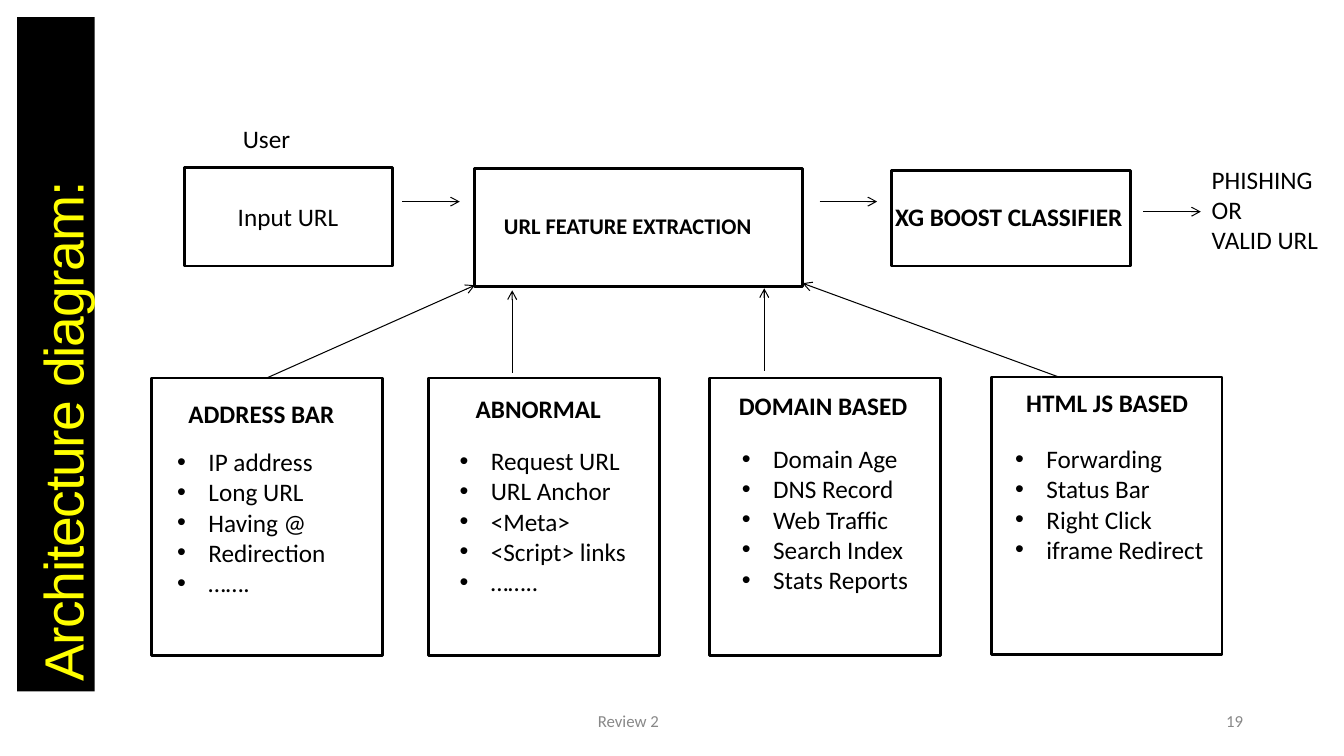
"""Build the architecture slide of a phishing URL detector."""
from dataclasses import dataclass

from lxml.etree import SubElement
from pptx import Presentation
from pptx.dml.color import RGBColor
from pptx.enum.shapes import MSO_CONNECTOR, MSO_SHAPE
from pptx.enum.text import MSO_ANCHOR, MSO_AUTO_SIZE, PP_ALIGN
from pptx.oxml.ns import qn
from pptx.shapes.autoshape import Shape
from pptx.shapes.connector import Connector
from pptx.slide import Slide
from pptx.text.text import TextFrame
from pptx.util import Inches, Pt

BLACK, WHITE, YELLOW, GRAY = "000000", "FFFFFF", "FFFF00", "888888"
BULLET_INDENT = 0.31
PANEL_WIDTH, PANEL_HEIGHT = 2.29, 2.75


@dataclass
class Box:
    left: float
    top: float
    width: float
    height: float


@dataclass
class Label:
    text: str
    left: float
    top: float
    width: float
    size: float = 18
    bold: bool = False


@dataclass
class Panel:
    left: float
    top: float
    heading: Label
    items: Label


@dataclass
class Arrow:
    start: tuple[float, float]
    end: tuple[float, float]


STAGES = [
    Box(4.71, 1.67, 3.25, 1.17),
    Box(1.83, 1.66, 2.06, 0.98),
    Box(8.84, 1.69, 2.37, 0.95),
]

LABELS = [
    Label("User", 2.31, 1.17, 0.9),
    Label("Input URL", 2.26, 1.95, 1.4),
    Label("URL FEATURE EXTRACTION", 4.9, 2.06, 2.92, 16, True),
    Label("XG BOOST CLASSIFIER", 8.78, 1.95, 2.6, 18, True),
    Label("PHISHING\nOR\nVALID URL", 11.92, 1.58, 1.4),
]

PANELS = [
    Panel(1.5, 3.75, Label("ADDRESS BAR", 1.77, 3.9, 2.3, 18, True),
          Label("IP address\nLong URL\nHaving @\nRedirection\n…….", 1.66, 4.38, 2.3)),
    Panel(4.25, 3.75, Label("ABNORMAL", 4.62, 3.85, 2.3, 18, True),
          Label("Request URL\nURL Anchor\n<Meta>\n<Script> links\n……..", 4.46, 4.37, 2.3)),
    Panel(7.04, 3.75, Label("DOMAIN BASED", 7.23, 3.82, 2.3, 18, True),
          Label("Domain Age\nDNS Record\nWeb Traffic\nSearch Index\nStats Reports",
                7.26, 4.35, 2.3)),
    Panel(9.83, 3.74, Label("HTML JS BASED", 10.08, 3.79, 2.3, 18, True),
          Label("Forwarding\nStatus Bar\nRight Click\niframe Redirect", 9.97, 4.35, 2.3)),
]

ADDRESS_ARROW = Arrow((2.65, 3.75), (4.71, 2.83))
ARROWS = [
    Arrow((5.08, 3.7), (5.08, 2.88)),
    Arrow((10.5, 3.74), (7.96, 2.81)),
    Arrow((7.58, 3.68), (7.58, 2.86)),
    Arrow((3.99, 2), (4.56, 2)),
    Arrow((8.13, 2), (8.7, 2)),
    Arrow((11.34, 2.1), (11.91, 2.1)),
]


def color(value: str) -> RGBColor:
    return RGBColor.from_string(value)


def format_text(text_frame: TextFrame, size: float, fill: str = BLACK,
                bold: bool = False, font_name: str = "Calibri") -> None:
    for paragraph in text_frame.paragraphs:
        paragraph.alignment = PP_ALIGN.LEFT
        for run in paragraph.runs:
            run.font.name = font_name
            run.font.size = Pt(size)
            run.font.bold = bold
            run.font.color.rgb = color(fill)


def set_margins(text_frame: TextFrame, top: float = 0) -> None:
    text_frame.margin_left = text_frame.margin_right = text_frame.margin_bottom = 0
    text_frame.margin_top = Inches(top)


def add_rectangle(slide: Slide, box: Box, fill: str = WHITE) -> Shape:
    shape = slide.shapes.add_shape(
        MSO_SHAPE.RECTANGLE, Inches(box.left), Inches(box.top),
        Inches(box.width), Inches(box.height))
    shape.shadow.inherit = False
    shape.fill.solid()
    shape.fill.fore_color.rgb = color(fill)
    shape.line.color.rgb = color(BLACK)
    shape.line.width = Pt(2)
    return shape


def add_label(slide: Slide, label: Label, fill: str = BLACK) -> TextFrame:
    line_count = label.text.count("\n") + 1
    textbox = slide.shapes.add_textbox(
        Inches(label.left), Inches(label.top), Inches(label.width),
        Inches(0.1 + 0.3 * line_count))
    text_frame = textbox.text_frame
    text_frame.word_wrap = True
    text_frame.text = label.text
    format_text(text_frame, label.size, fill, label.bold)
    return text_frame


def add_bullets(text_frame: TextFrame) -> None:
    for paragraph in text_frame.paragraphs:
        properties = paragraph._p.get_or_add_pPr()
        properties.set("marL", str(Inches(BULLET_INDENT)))
        properties.set("indent", str(-Inches(BULLET_INDENT)))
        SubElement(properties, qn("a:buFont")).set("typeface", "Arial")
        SubElement(properties, qn("a:buChar")).set("char", "•")


def add_panel(slide: Slide, panel: Panel) -> Shape:
    shape = add_rectangle(slide, Box(panel.left, panel.top, PANEL_WIDTH, PANEL_HEIGHT))
    add_label(slide, panel.heading)
    add_bullets(add_label(slide, panel.items))
    return shape


def add_arrow(slide: Slide, arrow: Arrow) -> Connector:
    points = [Inches(value) for value in (*arrow.start, *arrow.end)]
    connector = slide.shapes.add_connector(MSO_CONNECTOR.STRAIGHT, *points)
    connector.line.color.rgb = color(BLACK)
    connector.line.width = Pt(0.75)
    SubElement(connector.line._get_or_add_ln(), qn("a:tailEnd")).set("type", "arrow")
    SubElement(connector._element.spPr, qn("a:effectLst"))
    return connector


def add_title(slide: Slide) -> None:
    shape = add_rectangle(slide, Box(-2.79, 3.13, 6.69, 0.77), BLACK)
    shape.line.fill.background()
    shape.rotation = 270
    text_frame = shape.text_frame
    text_frame.text = "Architecture diagram:"
    text_frame.word_wrap = True
    text_frame.auto_size = MSO_AUTO_SIZE.SHAPE_TO_FIT_TEXT
    text_frame.vertical_anchor = MSO_ANCHOR.TOP
    set_margins(text_frame, 0.11)
    format_text(text_frame, 39.5, YELLOW, font_name="Arial")
    paragraph = text_frame.paragraphs[0]
    paragraph.space_before = Pt(7.8)
    paragraph._p.get_or_add_pPr().set("marL", str(Inches(0.1)))
    paragraph.runs[0].font._element.set("spc", "-90")


def add_footer(slide: Slide) -> None:
    for label in (Label("Review 2", 5.93, 7.08, 1.07, 12),
                  Label("19", 12.16, 7.08, 0.25, 12)):
        text_frame = add_label(slide, label, GRAY)
        set_margins(text_frame)
        text_frame.paragraphs[0].line_spacing = Pt(12.4)


def main() -> None:
    presentation = Presentation()
    presentation.slide_width, presentation.slide_height = Inches(13.33), Inches(7.5)
    slide = presentation.slides.add_slide(presentation.slide_layouts[6])
    add_title(slide)
    for stage in STAGES:
        add_rectangle(slide, stage)
    for label in LABELS:
        add_label(slide, label)
    panels = [add_panel(slide, panel) for panel in PANELS]
    add_arrow(slide, ADDRESS_ARROW).begin_connect(panels[0], 0)
    for arrow in ARROWS:
        add_arrow(slide, arrow)
    add_footer(slide)
    presentation.save("out.pptx")


if __name__ == "__main__":
    main()
